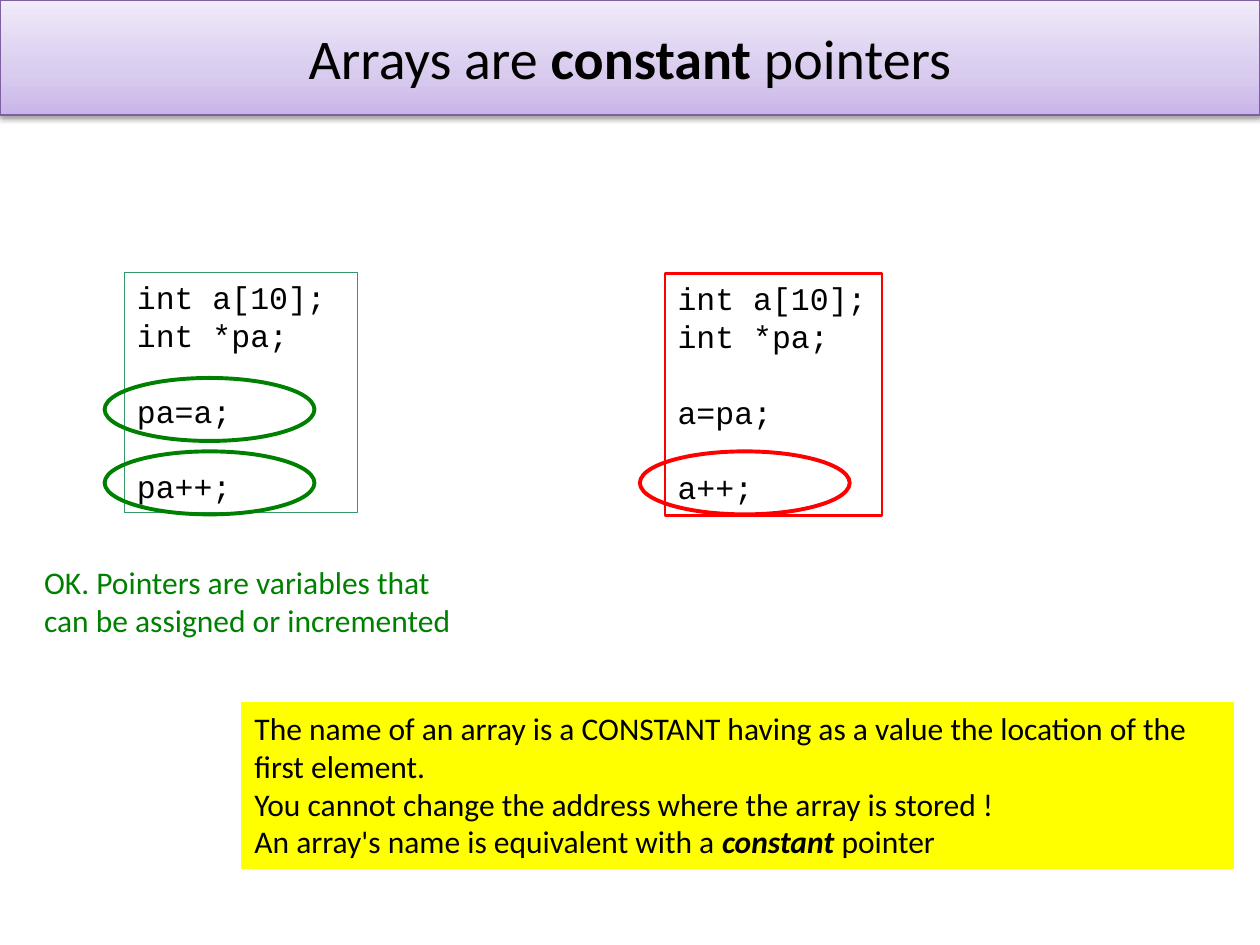
import pptx
import pptx.util
import pptx.dml.color
import pptx.enum.shapes
import pptx.enum.text
import pptx.oxml.ns
from dataclasses import dataclass
from lxml import etree
from pptx.util import Cm, Pt


@dataclass(frozen=True)
class Theme:
    text: str = "000000"
    good: str = "008000"
    good_frame: str = "339966"
    bad: str = "FF0000"
    note: str = "FFFF00"
    title_line: str = "7D60A0"
    title_stops: tuple = ((0, "C9B5E8"), (35, "D8CBEE"), (100, "F0EAF9"))
    body_font: str = "Calibri"
    code_font: str = "Courier New"
    title_size: float = 32
    body_size: float = 18
    code_pitch: float = 21.6


THEME = Theme()
qn = pptx.oxml.ns.qn
Align = pptx.enum.text.PP_ALIGN
Anchor = pptx.enum.text.MSO_ANCHOR
Preset = pptx.enum.shapes.MSO_SHAPE


def rgb(value):
    return pptx.dml.color.RGBColor.from_string(value)


def write(frame, paragraphs, font=THEME.body_font, size=THEME.body_size,
          color=THEME.text, align=Align.LEFT, anchor=Anchor.TOP,
          wrap=True, grow=True, pitch=None, gaps=()):
    frame.word_wrap = wrap
    frame.vertical_anchor = anchor
    fit = pptx.enum.text.MSO_AUTO_SIZE
    frame.auto_size = fit.SHAPE_TO_FIT_TEXT if grow else fit.NONE
    for index, runs in enumerate(paragraphs):
        paragraph = frame.paragraphs[0] if index == 0 else frame.add_paragraph()
        paragraph.alignment = align
        if pitch:
            paragraph.line_spacing = Pt(pitch)
        if index in gaps:
            paragraph.space_before = Pt(pitch)
        for text, style in runs:
            run = paragraph.add_run()
            run.text = text
            run.font.name = font
            run.font.size = Pt(size)
            run.font.color.rgb = rgb(color)
            run.font.bold = "b" in style
            run.font.italic = "i" in style


def plain(*lines):
    return [[(line, "")] for line in lines]


def add_outline(slide, preset, box, line, width, fill=None):
    shape = slide.shapes.add_shape(preset, *map(Cm, box))
    shape.shadow.inherit = False
    if fill:
        shape.fill.solid()
        shape.fill.fore_color.rgb = rgb(fill)
    else:
        shape.fill.background()
    shape.line.color.rgb = rgb(line)
    shape.line.width = Pt(width)
    return shape


def add_code(slide, box, lines, line, width):
    shape = add_outline(slide, Preset.RECTANGLE, box, line, width)
    write(shape.text_frame, plain(*lines), font=THEME.code_font,
          pitch=THEME.code_pitch, gaps=(2, 3))


def add_ring(slide, left, top, color):
    add_outline(slide, Preset.OVAL, (left, top, 4.23, 1.27), color, 2.25)


def add_color(parent, value):
    color = etree.SubElement(parent, qn("a:srgbClr"), val=value)
    return color


def format_title(title):
    title.left, title.top, title.width, title.height = map(Cm, (0, 0, 25.4, 2.32))
    title.fill.gradient()
    title.fill.gradient_angle = 90
    properties = title.element.spPr
    stops = properties.find(".//" + qn("a:gsLst"))
    for stop in list(stops):
        stops.remove(stop)
    for position, value in THEME.title_stops:
        stop = etree.SubElement(stops, qn("a:gs"), pos=str(position * 1000))
        add_color(stop, value)
    title.line.color.rgb = rgb(THEME.title_line)
    title.line.width = Pt(0.75)
    effects = etree.SubElement(properties, qn("a:effectLst"))
    shadow = etree.SubElement(effects, qn("a:outerShdw"), blurRad=str(Pt(3.1)),
                              dist=str(Pt(1.6)), dir="5400000", rotWithShape="0")
    etree.SubElement(add_color(shadow, THEME.text), qn("a:alpha"), val="38000")
    write(title.text_frame,
          [[("Arrays are ", ""), ("constant", "b"), (" pointers", "")]],
          size=THEME.title_size, align=Align.CENTER, anchor=Anchor.MIDDLE, grow=False)


def main():
    presentation = pptx.Presentation()
    presentation.slide_width, presentation.slide_height = Cm(25.4), Cm(19.05)
    slide = presentation.slides.add_slide(presentation.slide_layouts[5])
    format_title(slide.shapes.title)

    declarations = ("int a[10];", "int *pa;")
    add_code(slide, (2.51, 5.49, 4.7, 4.85), declarations + ("pa=a;", "pa++;"),
             THEME.good_frame, 0.75)
    note = add_outline(slide, Preset.RECTANGLE, (4.88, 14.17, 19.99, 3.33),
                       THEME.note, 0.75, fill=THEME.note)
    write(note.text_frame, plain(
        "The name of an array is a CONSTANT having as a value the location of the first element.",
        "You cannot change the address where the array is stored !",
    ) + [[("An array's name is equivalent with a ", ""), ("constant ", "bi"), ("pointer", "")]])
    add_code(slide, (13.41, 5.51, 4.37, 4.88), declarations + ("a=pa;", "a++;"),
             THEME.bad, 1.5)

    verdict = slide.shapes.add_textbox(*map(Cm, (0.64, 11.23, 9.55, 1.78)))
    write(verdict.text_frame,
          plain("OK. Pointers are variables that", "can be assigned or incremented"),
          color=THEME.good, wrap=False)

    for left, top, color in ((2.11, 7.62, THEME.good), (2.11, 9.1, THEME.good),
                             (12.9, 9.1, THEME.bad)):
        add_ring(slide, left, top, color)

    presentation.save("out.pptx")


if __name__ == "__main__":
    main()
